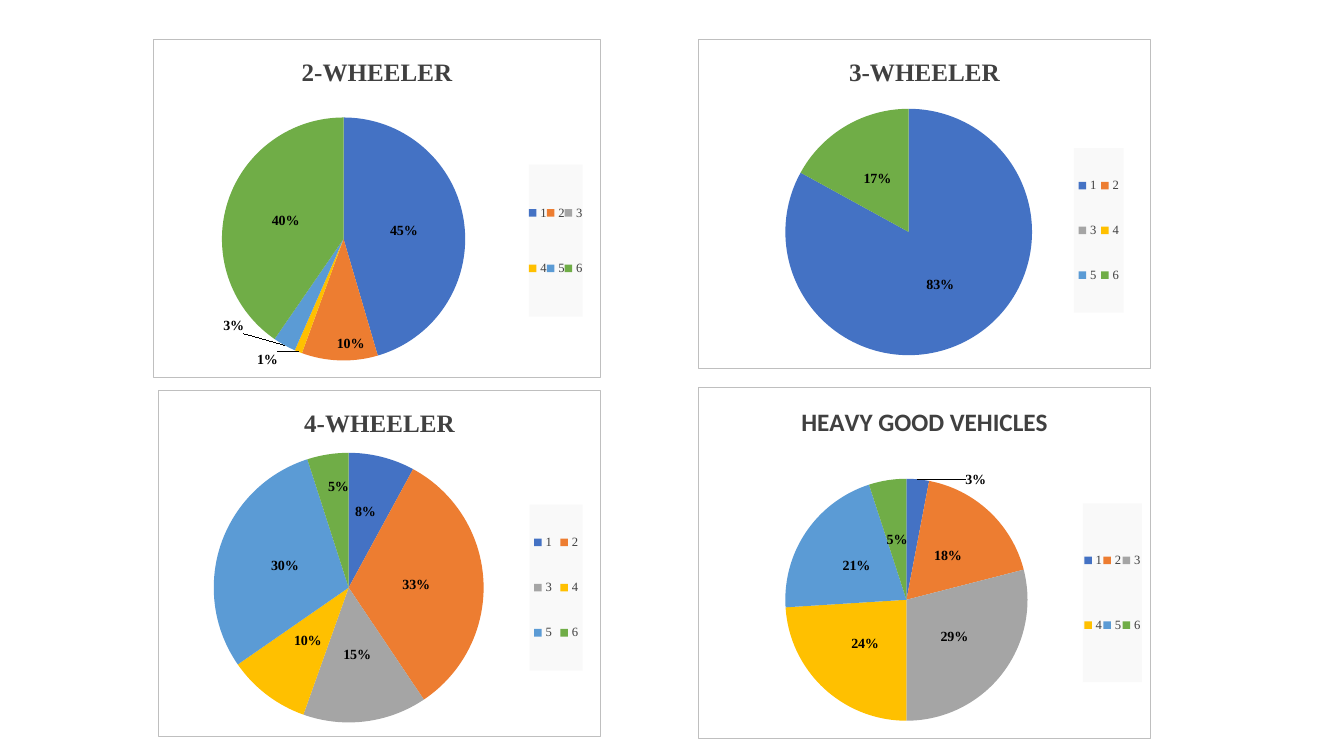
"""Build a slide of four pie charts showing vehicle shares by type."""
from copy import deepcopy

from lxml import etree
from pptx import Presentation
from pptx import util as u
from pptx.chart.data import CategoryChartData
from pptx.dml.color import RGBColor
from pptx.enum import chart as kinds
from pptx.oxml import parse_xml
from pptx.oxml.ns import nsdecls, qn

SERIF, SANS = "Times New Roman", "Calibri"
CATEGORIES = ["1", "2", "3", "4", "5", "6"]
SLICE_COLOURS = ["4472C4", "ED7D31", "A5A5A5", "FFC000", "5B9BD5", "70AD47"]
INK, BLACK, BORDER, LEGEND_FILL = "404040", "000000", "BFBFBF", "F9F9F9"

VEHICLES = [
    dict(title="2-WHEELER", font=SERIF, box=(1.52, 0.39, 4.44, 3.36),
         shares=[45, 10, 0, 1, 3, 40], pie=(0.1, 0.23, 0.65, 0.72),
         legend=(0.84, 0.37, 0.12, 0.45),
         moved={1: (0.02, 0.13), 3: (-0.12, 0.19), 4: (-0.18, 0.1)}),
    dict(title="3-WHEELER", font=SERIF, box=(6.92, 0.39, 4.5, 3.27),
         shares=[83, 0, 0, 0, 0, 17], pie=(0.19, 0.21, 0.55, 0.75),
         legend=(0.83, 0.33, 0.11, 0.5), moved={}),
    dict(title="4-WHEELER", font=SERIF, box=(1.57, 3.87, 4.39, 3.44),
         shares=[8, 33, 15, 10, 30, 5], pie=(0.12, 0.18, 0.62, 0.78),
         legend=(0.84, 0.33, 0.12, 0.48),
         moved={0: (0, -0.03), 5: (0, -0.1)}),
    dict(title="HEAVY GOOD VEHICLES", font=SANS, box=(6.92, 3.84, 4.5, 3.49),
         shares=[3, 18, 29, 24, 21, 5], pie=(0.19, 0.26, 0.54, 0.69),
         legend=(0.85, 0.33, 0.13, 0.51), moved={0: (0.14, -0.17)}),
]


def colour(hex_string):
    return RGBColor.from_string(hex_string)


def style(font, name, size, ink, bold=False):
    font.name, font.size, font.bold = name, u.Pt(size), bold
    font.color.rgb = colour(ink)


def chart_xml(tag, inner):
    return parse_xml(f'<c:{tag} {nsdecls("c", "a")}>{inner}</c:{tag}>')


def fill_xml(hex_string):
    return f'<a:solidFill><a:srgbClr val="{hex_string}"/></a:solidFill>'


def layout(place, modes=""):
    values = "".join(f'<c:{key} val="{value}"/>' for key, value in zip("xywh", place))
    return chart_xml("layout", f"<c:manualLayout>{modes}{values}</c:manualLayout>")


def set_layout(parent, index, place, target=""):
    for old in parent.findall(qn("c:layout")):
        parent.remove(old)
    modes = target + '<c:xMode val="edge"/><c:yMode val="edge"/>'
    parent.insert(index, layout(place, modes))


def frame_chart(space):
    plot_box = space.find(qn("c:chart"))
    plot_box.addprevious(parse_xml(f'<c:roundedCorners {nsdecls("c")} val="0"/>'))
    plot_box.addnext(chart_xml("spPr", fill_xml("FFFFFF")
                               + f'<a:ln w="9525">{fill_xml(BORDER)}</a:ln>'))


def label_slices(series, shares, moved):
    labels = series.data_labels
    labels.show_value, labels.show_percentage = False, True
    labels.number_format, labels.number_format_is_linked = "0%", False
    labels.position = kinds.XL_LABEL_POSITION.CENTER
    style(labels.font, SERIF, 10, BLACK, True)
    group = series._element.find(qn("c:dLbls"))
    shared = [part for part in group if part.tag != qn("c:showLeaderLines")]
    special = []
    for index, share in enumerate(shares):
        if share and index not in moved:
            continue
        label = chart_xml("dLbl", f'<c:idx val="{index}"/>')
        if share:
            label.append(layout(moved[index]))
            label.extend(deepcopy(part) for part in shared)
        else:
            etree.SubElement(label, qn("c:delete")).set("val", "1")
        special.append(label)
    for position, label in enumerate(special):
        group.insert(position, label)


def add_pie(slide, vehicle):
    data = CategoryChartData()
    data.categories = CATEGORIES
    data.add_series(vehicle["title"], vehicle["shares"])
    chart = slide.shapes.add_chart(kinds.XL_CHART_TYPE.PIE,
                                   *map(u.Inches, vehicle["box"]), data).chart
    style(chart.font, SANS, 10, BLACK)
    chart.has_title = True
    heading = chart.chart_title.text_frame
    heading.text = vehicle["title"]
    style(heading.paragraphs[0].runs[0].font, vehicle["font"], 18, INK, True)

    chart.has_legend = True
    legend = chart.legend
    legend.position = kinds.XL_LEGEND_POSITION.RIGHT
    legend.include_in_layout = False
    style(legend.font, SERIF, 9, INK)
    key = legend._element
    set_layout(key, 1, vehicle["legend"])
    key.find(qn("c:txPr")).addprevious(chart_xml("spPr", fill_xml(LEGEND_FILL)))

    space = chart._chartSpace
    set_layout(space.find(".//" + qn("c:plotArea")), 0, vehicle["pie"],
               '<c:layoutTarget val="inner"/>')
    frame_chart(space)
    plot = chart.plots[0]
    plot.vary_by_categories = True
    series = plot.series[0]
    for index, hex_string in enumerate(SLICE_COLOURS):
        look = series.points[index].format
        look.fill.solid()
        look.fill.fore_color.rgb = colour(hex_string)
        look.line.fill.background()
    label_slices(series, vehicle["shares"], vehicle["moved"])


def main():
    deck = Presentation()
    deck.slide_width, deck.slide_height = u.Inches(13.33), u.Inches(7.5)
    slide = deck.slides.add_slide(deck.slide_layouts[6])
    for vehicle in VEHICLES:
        add_pie(slide, vehicle)
    deck.save("out.pptx")


if __name__ == "__main__":
    main()
